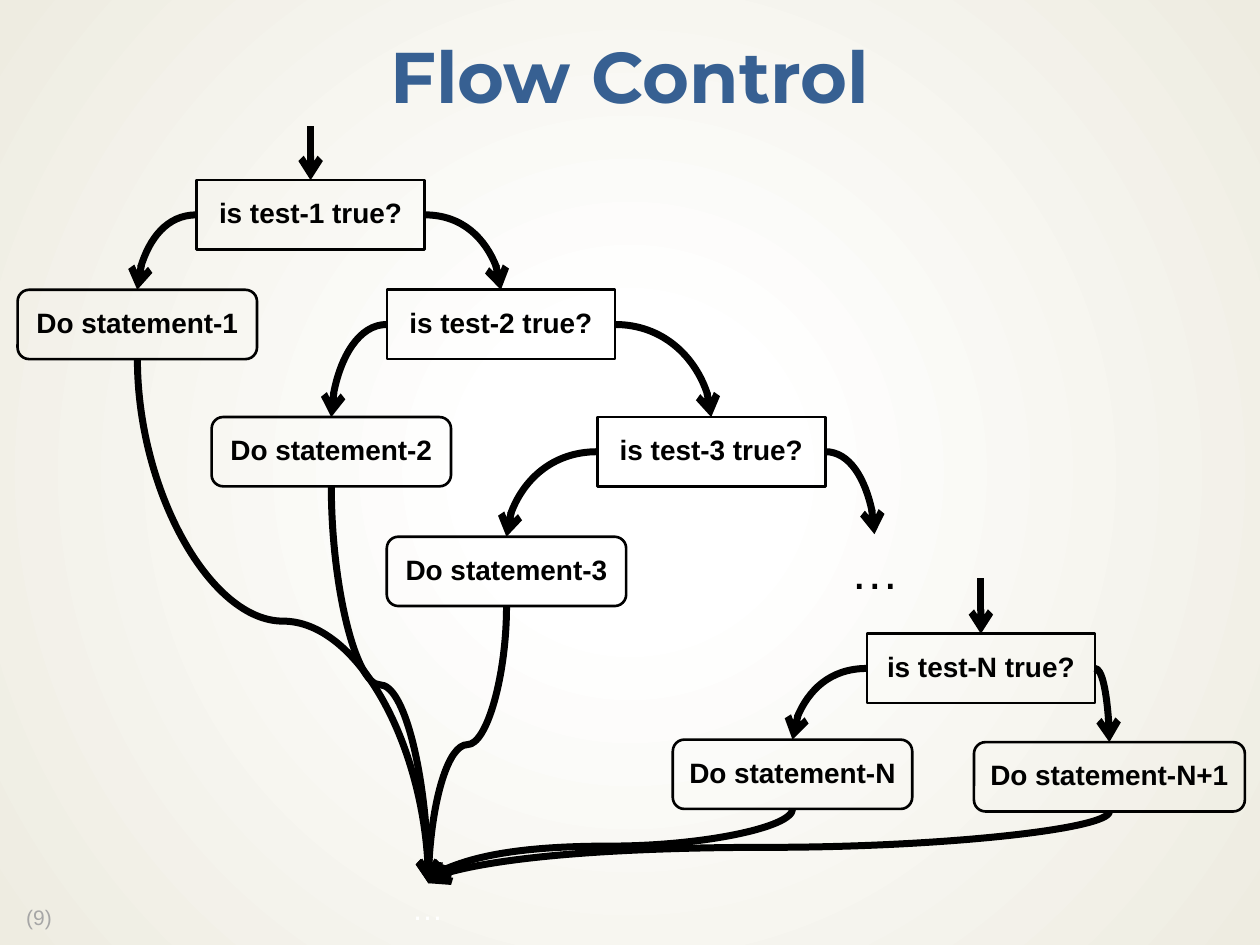
"""Build the Flow Control slide: a chain of tests, each leading to a statement."""
from lxml.etree import SubElement
from pptx import Presentation
from pptx.dml.color import RGBColor
from pptx.enum.shapes import MSO_CONNECTOR, MSO_SHAPE
from pptx.enum.text import MSO_ANCHOR, PP_ALIGN
from pptx.oxml import parse_xml
from pptx.oxml.ns import nsdecls, qn
from pptx.util import Inches, Pt

BLACK = RGBColor(0x00, 0x00, 0x00)
WHITE = RGBColor(0xFF, 0xFF, 0xFF)
BLUE = RGBColor(0x37, 0x60, 0x92)
GREY = RGBColor(0xA6, 0xA6, 0xA6)
CREAM = RGBColor(0xEE, 0xEC, 0xE1)
BOX_HEIGHT = 0.55


def write(shape, text, size, color, bold=False, font="Arial", spacing=0.9):
    shape.text_frame.text = text
    para = shape.text_frame.paragraphs[0]
    para.line_spacing = spacing
    span = para.runs[0]
    span.font.name = font
    span.font.size = Pt(size)
    span.font.bold = bold
    span.font.color.rgb = color
    return para


def add_arrow(kind, start, end):
    arrow = page.shapes.add_connector(kind, *[Inches(value) for value in (*start, *end)])
    arrow.line.color.rgb = BLACK
    arrow.line.width = Pt(4)
    SubElement(arrow.line._get_or_add_ln(), qn("a:tailEnd"), type="arrow")
    SubElement(arrow._element.spPr, qn("a:effectLst"))
    return arrow


deck = Presentation()
deck.slide_width = Inches(10)
deck.slide_height = Inches(7.5)
page = deck.slides.add_slide(deck.slide_layouts[6])

page.background.fill.solid()
background = page.background._cSld.bg.bgPr
background.replace(background[0], parse_xml(
    f'<a:gradFill {nsdecls("a")} rotWithShape="1"><a:gsLst>'
    f'<a:gs pos="18000"><a:srgbClr val="{WHITE}"><a:alpha val="53000"/></a:srgbClr></a:gs>'
    f'<a:gs pos="100000"><a:srgbClr val="{CREAM}"/></a:gs></a:gsLst>'
    '<a:path path="circle"><a:fillToRect l="50000" t="50000" r="50000" b="50000"/></a:path>'
    '</a:gradFill>'))

title = page.shapes.add_textbox(Inches(0), Inches(0.17), Inches(10), Inches(0.94))
title.text_frame.word_wrap = True
title.text_frame.vertical_anchor = MSO_ANCHOR.MIDDLE
write(title, "Flow Control", 41, BLUE, True, "Montserrat").alignment = PP_ALIGN.CENTER

labels = [
    ("(9)", 0.11, 7.15, 0.52, 0.28, 12, GREY, 0.9),
    ("…", 6.65, 4.24, 0.59, 0.57, 28, BLACK, 1.0),
    ("…", 3.17, 7.01, 0.45, 0.4, 18, WHITE, 1.0),
]
for text, left, top, width, height, size, color, spacing in labels:
    label = page.shapes.add_textbox(Inches(left), Inches(top), Inches(width), Inches(height))
    label.text_frame.word_wrap = False
    write(label, text, size, color, spacing=spacing)

boxes = {}
for name, left, top, width in [
    ("is test-1 true?", 1.56, 1.43, 1.81),
    ("is test-2 true?", 3.07, 2.3, 1.81),
    ("is test-3 true?", 4.74, 3.31, 1.81),
    ("is test-N true?", 6.88, 5.03, 1.81),
    ("Do statement-1", 0.14, 2.3, 1.9),
    ("Do statement-2", 1.68, 3.31, 1.9),
    ("Do statement-3", 3.07, 4.26, 1.9),
    ("Do statement-N", 5.34, 5.87, 1.9),
    ("Do statement-N+1", 7.73, 5.89, 2.15),
]:
    outline = MSO_SHAPE.RECTANGLE if name.startswith("is") else MSO_SHAPE.ROUNDED_RECTANGLE
    box = page.shapes.add_shape(
        outline, Inches(left), Inches(top), Inches(width), Inches(BOX_HEIGHT))
    box.shadow.inherit = False
    box.fill.background()
    box.line.color.rgb = BLACK
    box.line.width = Pt(1.5)
    box.text_frame.word_wrap = False
    box.text_frame.vertical_anchor = MSO_ANCHOR.MIDDLE
    write(box, name, 16, BLACK, True).alignment = PP_ALIGN.CENTER
    boxes[name] = (box, left, top, width)

for name, length in [("is test-1 true?", 0.43), ("is test-N true?", 0.44)]:
    box, left, top, width = boxes[name]
    middle = left + width / 2
    entry = add_arrow(MSO_CONNECTOR.STRAIGHT, (middle, top - length), (middle, top))
    entry.end_connect(box, 0)

for test, yes, no in [
    ("is test-1 true?", "Do statement-1", "is test-2 true?"),
    ("is test-2 true?", "Do statement-2", "is test-3 true?"),
    ("is test-3 true?", "Do statement-3", None),
    ("is test-N true?", "Do statement-N", "Do statement-N+1"),
]:
    box, left, top, width = boxes[test]
    for target, side, start_x in [(yes, 1, left), (no, 3, left + width)]:
        end = (6.94, 4.24)
        if target:
            target_box, target_left, target_top, target_width = boxes[target]
            end = (target_left + target_width / 2, target_top)
        branch = add_arrow(MSO_CONNECTOR.CURVE, (start_x, top + BOX_HEIGHT / 2), end)
        branch._element.spPr.find(qn("a:prstGeom")).set("prst", "curvedConnector2")
        branch.begin_connect(box, side)
        if target:
            branch.end_connect(target_box, 0)

exit_x, exit_y = 3.4, 7.01
for name, (box, left, top, width) in boxes.items():
    if name.startswith("Do"):
        start_x, start_y = left + width / 2, top + BOX_HEIGHT
        center_x, center_y = (start_x + exit_x) / 2, (start_y + exit_y) / 2
        turn = 1 if start_x > exit_x else -1
        reach, rise = turn * (exit_y - start_y) / 2, abs(exit_x - start_x) / 2
        merge = add_arrow(MSO_CONNECTOR.CURVE, (center_x - reach, center_y - rise),
                          (center_x + reach, center_y + rise))
        merge._element.spPr.find(qn("a:xfrm")).set("rot", str(turn * 90 % 360 * 60000))

deck.save("out.pptx")
